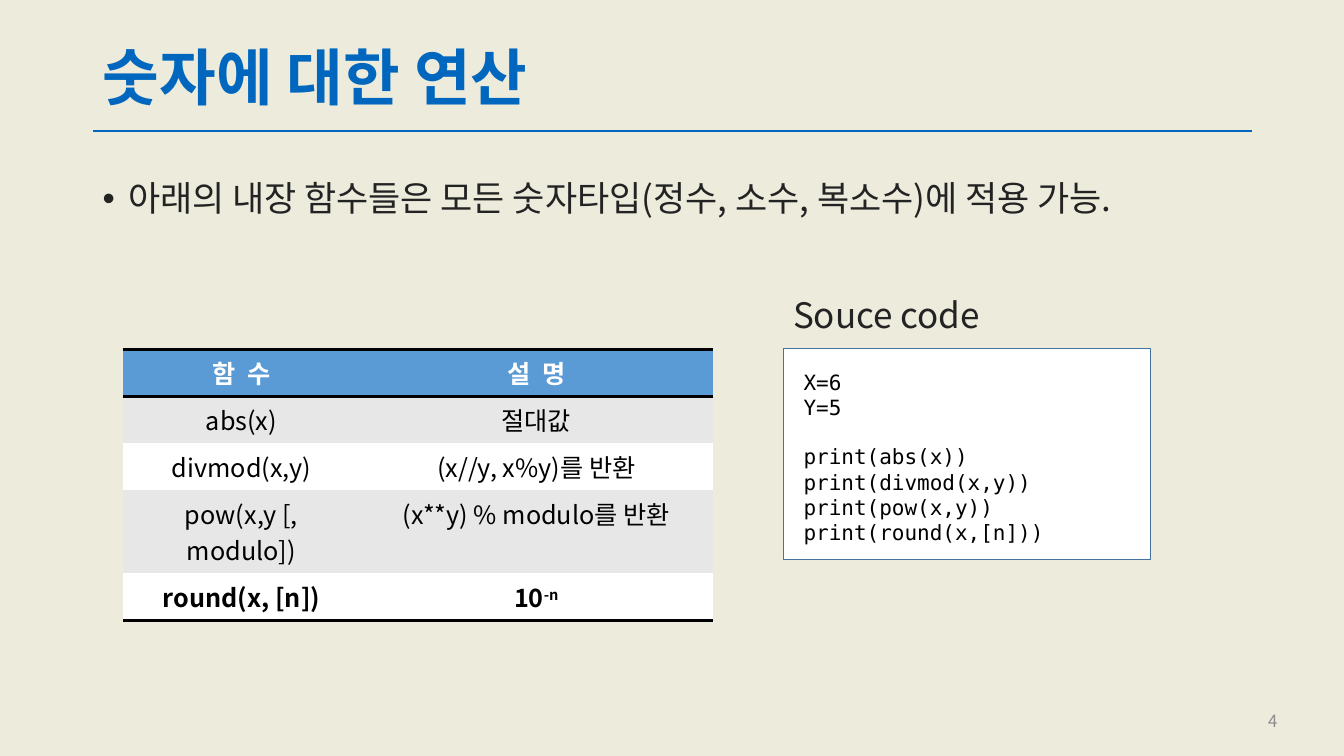
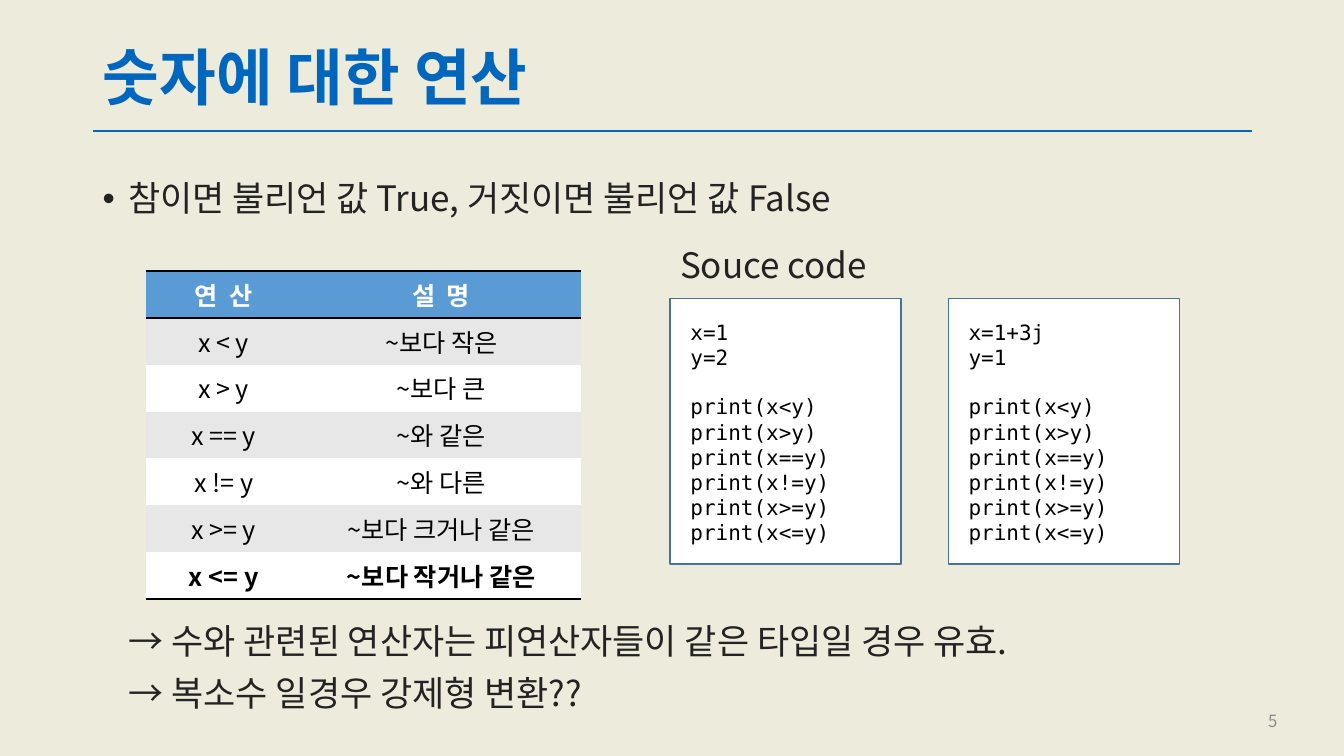
from dataclasses import dataclass

from lxml.etree import SubElement
from pptx import Presentation
from pptx.dml.color import RGBColor
from pptx.enum.shapes import MSO_CONNECTOR, MSO_SHAPE
from pptx.enum.text import MSO_ANCHOR, MSO_AUTO_SIZE, PP_ALIGN
from pptx.oxml.ns import qn
from pptx.util import Cm, Pt


@dataclass(frozen=True)
class Theme:
    font: str = "Noto Sans CJK KR"
    mono: str = "DejaVu Sans Mono"
    paper: str = "ECEBDC"
    accent: str = "0066BE"
    ink: str = "232323"
    muted: str = "8C8C8C"
    black: str = "000000"
    white: str = "FFFFFF"
    header: str = "5B9BD5"
    band: str = "E7E7E7"
    code_line: str = "43739E"
    title_size: int = 44
    body_size: int = 25
    table_size: int = 18
    code_size: int = 15
    number_size: int = 12


T = Theme()
NO_STYLE = "{2D5ABB26-0587-4C30-8999-92F81FD0307C}"
LEFT, WIDTH = 2.34, 29.21  # content column, cm
ROW_H, WRAPPED_ROW_H = 1.18, 2.1  # one and two lines of table text
LABEL_W, LABEL_H = 6.45, 1.4


def rgb(color):
    return RGBColor.from_string(color)


def cm_box(box):
    return [Cm(v) for v in box]


# Text
def add_run(p, text, size, color, bold=False, font=T.font):
    r = p.add_run()
    r.text = text
    r.font.size, r.font.bold, r.font.name = Pt(size), bold, font
    r.font.color.rgb = rgb(color)
    rPr = r._r.get_or_add_rPr()
    SubElement(rPr, qn("a:ea")).set("typeface", font)
    return r


def add_text(s, box):
    tf = s.shapes.add_textbox(*cm_box(box)).text_frame
    tf.word_wrap = True
    return tf


def add_body(s, box, lines, bullet=False):
    tf = add_text(s, box)
    for i, line in enumerate(lines):
        p = tf.add_paragraph() if i else tf.paragraphs[0]
        p.line_spacing, p.space_before = 0.9, Pt(10)
        if bullet:
            pPr = p._p.get_or_add_pPr()
            pPr.set("marL", str(Cm(0.64)))
            pPr.set("indent", str(-Cm(0.64)))
            SubElement(pPr, qn("a:buFont")).set("typeface", "Arial")
            SubElement(pPr, qn("a:buChar")).set("char", "•")
        add_run(p, line, T.body_size, T.ink)


# Title, rule, page number and lead sentence
def add_page(prs, title, number, lead):
    s = prs.slides.add_slide(prs.slide_layouts[5])

    sp = s.shapes.title
    sp.left, sp.top, sp.width, sp.height = cm_box((LEFT, 1.02, WIDTH, 2.03))
    tf = sp.text_frame
    tf.vertical_anchor, tf.auto_size = MSO_ANCHOR.MIDDLE, MSO_AUTO_SIZE.NONE
    p = tf.paragraphs[0]
    p.alignment, p.line_spacing = PP_ALIGN.LEFT, 0.9
    add_run(p, title, T.title_size, T.accent, bold=True)

    rule = s.shapes.add_connector(
        MSO_CONNECTOR.STRAIGHT, *cm_box((LEFT, 3.3, LEFT + WIDTH, 3.3)))
    rule.line.color.rgb, rule.line.width = rgb(T.accent), Pt(2)
    SubElement(rule._element.spPr, qn("a:effectLst"))

    tf = add_text(s, (24.82, 17.65, 7.62, 1.02))
    tf.vertical_anchor = MSO_ANCHOR.MIDDLE
    tf.paragraphs[0].alignment = PP_ALIGN.RIGHT
    add_run(tf.paragraphs[0], str(number), T.number_size, T.muted)

    add_body(s, (LEFT, 4.45, WIDTH, 2.51), [lead], bullet=True)
    return s


# Table with a header row, grey bands and a bold last row
def add_border(cell, side):
    ln = SubElement(cell._tc.get_or_add_tcPr(), qn(f"a:{side}"), w=str(Pt(2)))
    fill = SubElement(ln, qn("a:solidFill"))
    SubElement(fill, qn("a:srgbClr")).set("val", T.black)


def fill_cell(cell, text, i, last):
    if i == 0:
        add_border(cell, "lnT")
    if i in (0, last):
        add_border(cell, "lnB")
    cell.fill.solid()
    fill = T.header if i == 0 else T.band if i % 2 else T.white
    cell.fill.fore_color.rgb = rgb(fill)

    p = cell.text_frame.paragraphs[0]
    p.alignment = PP_ALIGN.CENTER
    style = (T.table_size, T.black if i else T.white, i in (0, last))
    base, _, power = text.partition("^")
    add_run(p, base, *style)
    if power:
        r = add_run(p, power, *style)
        r._r.get_or_add_rPr().set("baseline", "30000")


def add_grid(s, left, top, widths, rows, wrapped=()):
    heights = [WRAPPED_ROW_H if i in wrapped else ROW_H
               for i in range(len(rows))]
    box = (left, top, sum(widths), sum(heights))
    table = s.shapes.add_table(len(rows), len(widths), *cm_box(box)).table
    table._tbl.tblPr.find(qn("a:tableStyleId")).text = NO_STYLE
    table.horz_banding = False
    for col, width in zip(table.columns, widths):
        col.width = Cm(width)
    for i, row in enumerate(rows):
        table.rows[i].height = Cm(heights[i])
        for j, text in enumerate(row):
            fill_cell(table.cell(i, j), text, i, len(rows) - 1)


# Code box: assignments, a gap, then the calls
def add_code(s, box, assignments, calls):
    sp = s.shapes.add_shape(MSO_SHAPE.RECTANGLE, *cm_box(box))
    sp.shadow.inherit = False
    sp.fill.solid()
    sp.fill.fore_color.rgb = rgb(T.white)
    sp.line.color.rgb, sp.line.width = rgb(T.code_line), Pt(1)
    tf = sp.text_frame
    tf.word_wrap, tf.vertical_anchor = True, MSO_ANCHOR.TOP
    tf.margin_left = tf.margin_right = Cm(0.51)
    tf.margin_top = tf.margin_bottom = Cm(0.51)
    for i, line in enumerate(assignments + calls):
        p = tf.add_paragraph() if i else tf.paragraphs[0]
        p.alignment = PP_ALIGN.LEFT
        if i == len(assignments):
            p.space_before = Pt(17.5)
        add_run(p, f"print({line})" if line in calls else line,
                T.code_size, T.black, font=T.mono)


def add_code_label(s, left, code_top):
    add_body(s, (left, code_top - LABEL_H, LABEL_W, LABEL_H), ["Souce code"])


# Slides
def functions_slide(prs):
    s = add_page(prs, "숫자에 대한 연산", 4,
                 "아래의 내장 함수들은 모든 숫자타입(정수, 소수, 복소수)에 적용 가능.")
    add_grid(s, 3.1, 8.81, (5.97, 8.89), [
        ("함  수", "설  명"),
        ("abs(x)", "절대값"),
        ("divmod(x,y)", "(x//y, x%y)를 반환"),
        ("pow(x,y [, modulo])", "(x**y) % modulo를 반환"),
        ("round(x, [n])", "10^-n"),
    ], wrapped=(3,))
    left, top = 19.74, 8.79
    add_code(s, (left, top, 9.25, 5.31), ["X=6", "Y=5"],
             ["abs(x)", "divmod(x,y)", "pow(x,y)", "round(x,[n])"])
    add_code_label(s, left, top)


def comparisons_slide(prs):
    s = add_page(prs, "숫자에 대한 연산", 5,
                 "참이면 불리언 값 True, 거짓이면 불리언 값 False")
    meanings = {"<": "보다 작은", ">": "보다 큰", "==": "와 같은",
                "!=": "와 다른", ">=": "보다 크거나 같은", "<=": "보다 작거나 같은"}
    add_grid(s, 3.68, 6.83, (3.91, 7.06), [("연  산", "설  명")] + [
        (f"x {op} y", f"~{meaning}") for op, meaning in meanings.items()])
    left, top, step = 16.89, 7.53, 7.01
    calls = [f"x{op}y" for op in meanings]
    for i, assignments in enumerate((["x=1", "y=2"], ["x=1+3j", "y=1"])):
        add_code(s, (left + i * step, top, 5.82, 6.68), assignments, calls)
    add_code_label(s, left, top)
    add_body(s, (3, 15.6, 28.55, 2.64), [
        "→ 수와 관련된 연산자는 피연산자들이 같은 타입일 경우 유효.",
        "→ 복소수 일경우 강제형 변환??",
    ])


prs = Presentation()
prs.slide_width, prs.slide_height = Cm(33.87), Cm(19.05)
background = prs.slide_master.background.fill
background.solid()
background.fore_color.rgb = rgb(T.paper)
functions_slide(prs)
comparisons_slide(prs)
prs.save("out.pptx")
